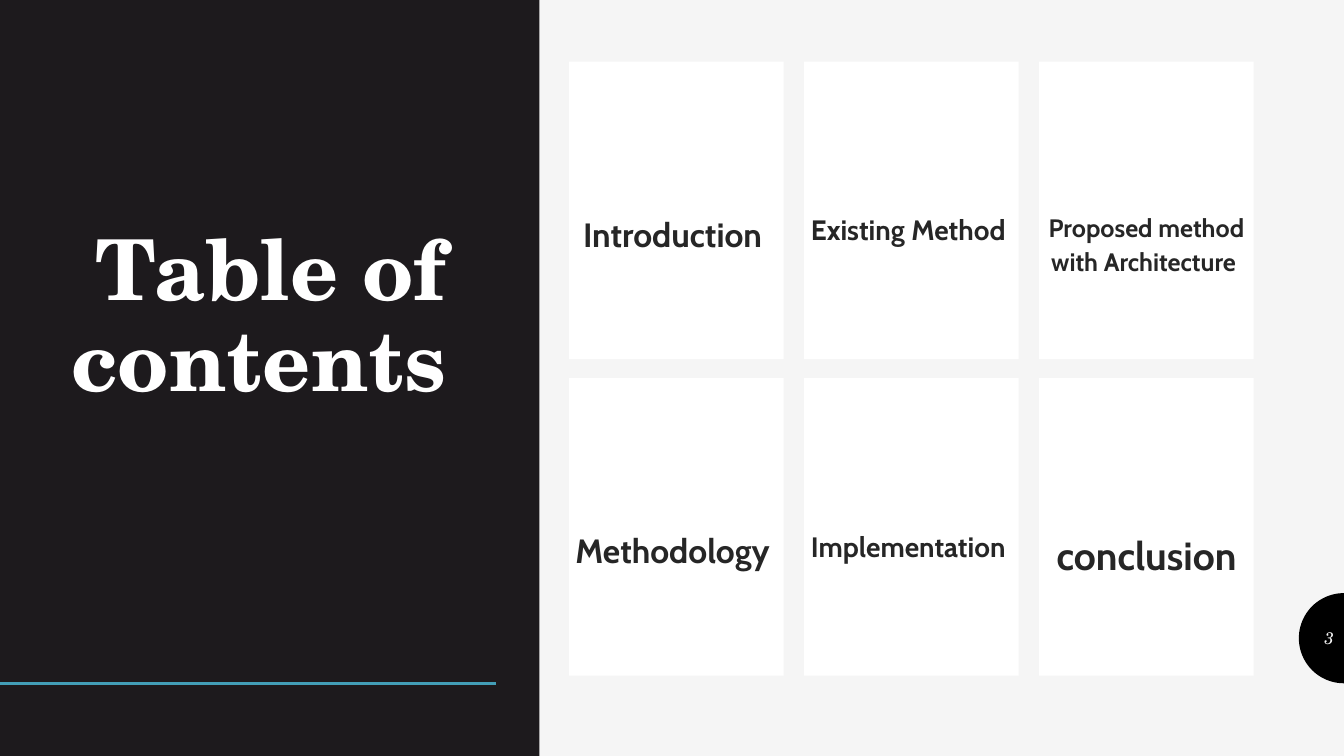
from math import cos, pi, sin

from pptx import Presentation
from pptx.dml.color import RGBColor
from pptx.enum.shapes import MSO_CONNECTOR, MSO_SHAPE
from pptx.enum.text import MSO_ANCHOR, MSO_AUTO_SIZE, PP_ALIGN
from pptx.oxml.ns import qn
from pptx.util import Pt
from lxml.etree import SubElement

SERIF = "TeX Gyre Schola"
SANS = "Cabin"


def paint(shape, color):
    """Give the shape a flat fill with no outline or shadow."""
    shape.fill.solid()
    shape.fill.fore_color.rgb = RGBColor.from_string(color)
    shape.line.fill.background()
    shape.shadow.inherit = False


def write(shape, text, font_name, size, color, alignment, anchor):
    """Put one formatted paragraph in the shape and return it."""
    frame = shape.text_frame
    frame.word_wrap = True
    frame.auto_size = MSO_AUTO_SIZE.NONE
    frame.vertical_anchor = anchor
    paragraph = frame.paragraphs[0]
    paragraph.text = text
    paragraph.alignment = alignment
    paragraph.font.name = font_name
    paragraph.font.size = Pt(size)
    paragraph.font.color.rgb = RGBColor.from_string(color)
    return paragraph


presentation = Presentation()
presentation.slide_width = Pt(960)
presentation.slide_height = Pt(540)
slide = presentation.slides.add_slide(presentation.slide_layouts[5])
slide.background.fill.solid()
slide.background.fill.fore_color.rgb = RGBColor.from_string("F5F5F5")
shapes = slide.shapes

# Half circle behind the page number
center_x, center_y, radius, steps = 960, 455.9, 32.2, 48
arc = [
    (Pt(center_x - radius * sin(pi * i / steps)), Pt(center_y - radius * cos(pi * i / steps)))
    for i in range(steps + 1)
]
builder = shapes.build_freeform(*arc[0])
builder.add_line_segments(arc[1:], close=True)
paint(builder.convert_to_shape(), "000000")

# Dark panel with accent line and title
panel = shapes.add_shape(MSO_SHAPE.RECTANGLE, 0, 0, Pt(385.4), Pt(540))
paint(panel, "1D1A1D")

accent = shapes.add_connector(MSO_CONNECTOR.STRAIGHT, 0, Pt(488.2), Pt(354.4), Pt(488.2))
accent.line.color.rgb = RGBColor.from_string("439EB7")
accent.line.width = Pt(2)
SubElement(accent.element.spPr, qn("a:effectLst"))

title = shapes.title
title.left, title.top, title.width, title.height = Pt(30.2), Pt(150), Pt(295.9), Pt(146)
paragraph = write(title, "Table of contents", SERIF, 60, "FFFFFF", PP_ALIGN.RIGHT, MSO_ANCHOR.BOTTOM)
paragraph.font.bold = True
paragraph.line_spacing = 0.9
shapes.element.append(title.element)  # bring in front of the panel

# Grid of topic cards
topics = [
    ("Introduction ", 24),
    ("Existing Method ", 20),
    ("Proposed method with Architecture ", 18),
    ("Methodology ", 24),
    ("Implementation ", 20),
    ("conclusion", 28),
]
for index, (topic, size) in enumerate(topics):
    row, column = divmod(index, 3)
    card = shapes.add_shape(
        MSO_SHAPE.RECTANGLE,
        Pt(406.5 + 167.9 * column), Pt(44.1 + 226 * row), Pt(153.2), Pt(212.5),
    )
    paint(card, "FFFFFF")
    frame = card.text_frame
    frame.margin_left = frame.margin_right = frame.margin_bottom = 0
    frame.margin_top = Pt(105.1)
    paragraph = write(card, topic, SANS, size, "262626", PP_ALIGN.CENTER, MSO_ANCHOR.TOP)
    paragraph.font.bold = True
    paragraph.line_spacing = 1.12
    paragraph.space_before = Pt(9)

# Page number
page_number = shapes.add_textbox(Pt(927.8), Pt(441.4), Pt(32.2), Pt(28.8))
paragraph = write(page_number, "3", SERIF, 12, "F5F5F5", PP_ALIGN.RIGHT, MSO_ANCHOR.MIDDLE)
paragraph.font.italic = True

presentation.save("out.pptx")
